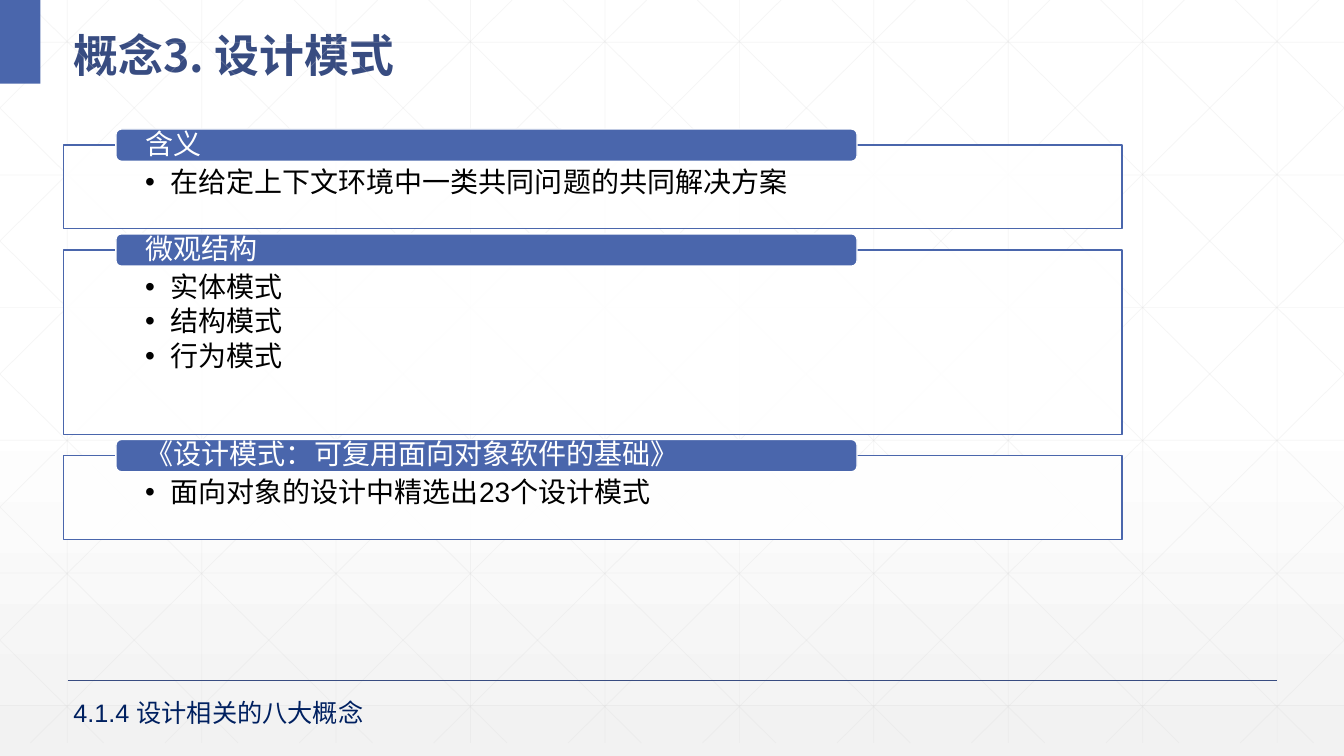
"""Build the slide on design patterns: three titled panels over a faint lattice."""
from copy import deepcopy
from typing import Any, NamedTuple

from lxml import etree
from pptx import Presentation
from pptx import util as u
from pptx.dml.color import RGBColor
from pptx.enum import shapes, text
from pptx.oxml import ns

BLUE = RGBColor(0x4A, 0x66, 0xAC)
DEEP = RGBColor(0x38, 0x4C, 0x81)
NAVY = RGBColor(0x00, 0x20, 0x60)
PALE = RGBColor(0xD9, 0xD9, 0xD9)
MIST = RGBColor(0xF2, 0xF2, 0xF2)
WHITE = RGBColor(0xFF, 0xFF, 0xFF)
BLACK = RGBColor(0x00, 0x00, 0x00)
HAN = "Noto Sans CJK SC"

WIDE, HIGH = 13.33, 7.5
DEPTH = 7.37
STEP = 4 / 3
SLOPE = 0.99
LEFT = 0.63
GAP = 0.21


class Panel(NamedTuple):
    head: str
    items: list[str]
    high: float


class Style(NamedTuple):
    font: dict[str, Any]
    para: dict[str, Any]
    frame: dict[str, Any]


PANELS = [
    Panel("含义", ["在给定上下文环境中一类共同问题的共同解决方案"], 0.83),
    Panel("微观结构", ["实体模式", "结构模式", "行为模式"], 1.83),
    Panel("《设计模式：可复用面向对象软件的基础》", ["面向对象的设计中精选出23个设计模式"], 0.83),
]

LEAD = {"alignment": text.PP_ALIGN.LEFT, "line_spacing": 0.9}
TITLE = Style(
    {"name": HAN, "size": u.Pt(32), "bold": True, "color": DEEP},
    {"alignment": text.PP_ALIGN.LEFT, "line_spacing": 1.3},
    {"vertical_anchor": text.MSO_ANCHOR.MIDDLE, "auto_size": text.MSO_AUTO_SIZE.NONE},
)
HEAD = Style(
    {"name": "Arial", "size": u.Pt(20), "color": WHITE},
    LEAD | {"space_after": u.Pt(7)},
    {"vertical_anchor": text.MSO_ANCHOR.MIDDLE, "margin_left": u.Inches(0.28),
     "margin_right": u.Inches(0.28), "margin_top": 0, "margin_bottom": 0},
)
ITEM = Style(
    {"name": "Arial", "size": u.Pt(20), "color": BLACK},
    LEAD | {"level": 1, "space_after": u.Pt(3)},
    {"vertical_anchor": text.MSO_ANCHOR.TOP, "margin_left": u.Inches(0.81),
     "margin_right": u.Inches(0.81), "margin_top": u.Inches(0.23),
     "margin_bottom": u.Inches(0.16)},
)
FOOT = Style({"name": "Arial", "size": u.Pt(18), "color": NAVY}, {}, {})


def apply(obj: Any, values: dict[str, Any]) -> None:
    for key, value in values.items():
        if key == "color":
            obj.color.rgb = value
        else:
            setattr(obj, key, value)


def fade(node: Any, percent: int) -> None:
    color = node.find(".//" + ns.qn("a:srgbClr"))
    etree.SubElement(color, ns.qn("a:alpha"), val=str(percent * 1000))


def write(shape: Any, lines: list[str], style: Style, dots: bool = False) -> None:
    frame = shape.text_frame
    frame.word_wrap = True
    apply(frame, style.frame)
    for index, line in enumerate(lines):
        para = frame.paragraphs[0] if index == 0 else frame.add_paragraph()
        if dots:
            props = para._p.get_or_add_pPr()
            props.set("marL", str(u.Inches(0.25)))
            props.set("indent", str(u.Inches(-0.25)))
            etree.SubElement(props, ns.qn("a:buFont"), typeface="Arial")
            etree.SubElement(props, ns.qn("a:buChar"), char="•")
        apply(para, style.para)
        run = para.add_run()
        run.text = line
        apply(run.font, style.font)
        etree.SubElement(run.font._element, ns.qn("a:ea"), typeface=HAN)


def box(slide: Any, kind: Any, place: tuple[float, ...], fill: RGBColor,
        edge: RGBColor | None = None) -> Any:
    shape = slide.shapes.add_shape(kind, *map(u.Inches, place))
    shape.shadow.inherit = False
    shape.fill.solid()
    shape.fill.fore_color.rgb = fill
    if edge is None:
        shape.line.fill.background()
    else:
        apply(shape.line, {"color": edge, "width": u.Pt(1)})
    return shape


def rule(slide: Any, ends: tuple[float, ...], color: RGBColor, width: float) -> Any:
    line = slide.shapes.add_connector(shapes.MSO_CONNECTOR.STRAIGHT, *map(u.Inches, ends))
    apply(line.line, {"color": color, "width": u.Pt(width)})
    etree.SubElement(line.element.spPr, ns.qn("a:effectLst"))
    return line


def paint(slide: Any) -> None:
    fill = slide.background.fill
    fill.gradient()
    fill.gradient_angle = 270
    for stop, color in zip(fill.gradient_stops, (WHITE, MIST)):
        stop.color.rgb = color
    stops = slide.element.find(".//" + ns.qn("a:gsLst"))
    stops.insert(1, deepcopy(stops[0]))
    for stop, place in zip(fill.gradient_stops, (0, 0.53, 1)):
        stop.position = place
    fade(stops[2], 65)


def lattice(slide: Any) -> None:
    grid = [(STEP * (k + 0.5), 0, STEP * (k + 0.5), DEPTH) for k in range(10)]
    grid += [(0, 0.42 + 1.316 * k, WIDE, 0.42 + 1.316 * k) for k in range(6)]
    for k in range(-5, 10):
        start = 0.25 + STEP * k
        near = max(start, 0)
        far = min(start + DEPTH / SLOPE, WIDE)
        top, base = (near - start) * SLOPE, (far - start) * SLOPE
        grid += [(near, top, far, base), (WIDE - near, top, WIDE - far, base)]
    for ends in grid:
        fade(rule(slide, ends, PALE, 0.5).element.spPr, 25)


def panel(slide: Any, item: Panel, top: float) -> None:
    body = box(slide, shapes.MSO_SHAPE.RECTANGLE, (LEFT, top, 10.5, item.high), WHITE, BLUE)
    fade(body.element.spPr, 90)
    write(body, item.items, ITEM, dots=True)
    tab = box(slide, shapes.MSO_SHAPE.ROUNDED_RECTANGLE,
              (1.15, top - 0.16, 7.35, 0.32), BLUE, WHITE)
    write(tab, [item.head], HEAD)


def main() -> None:
    deck = Presentation()
    deck.slide_width, deck.slide_height = u.Inches(WIDE), u.Inches(HIGH)
    slide = deck.slides.add_slide(deck.slide_layouts[5])
    paint(slide)
    lattice(slide)
    rule(slide, (0.67, 6.75, 12.67, 6.75), DEEP, 1)
    box(slide, shapes.MSO_SHAPE.RECTANGLE, (0, 0, 0.4, 0.83), BLUE)

    title = slide.shapes.title
    apply(title, dict(zip(("left", "top", "width", "height"),
                          map(u.Inches, (LEFT, 0.1, 12.42, 0.73)))))
    write(title, ["概念3. 设计模式"], TITLE)

    top = 1.44
    for item in PANELS:
        panel(slide, item, top)
        top += item.high + GAP

    foot = slide.shapes.add_textbox(*map(u.Inches, (LEFT, 6.87, 3.78, 0.4)))
    write(foot, ["4.1.4 设计相关的八大概念"], FOOT)
    deck.save("out.pptx")


if __name__ == "__main__":
    main()
